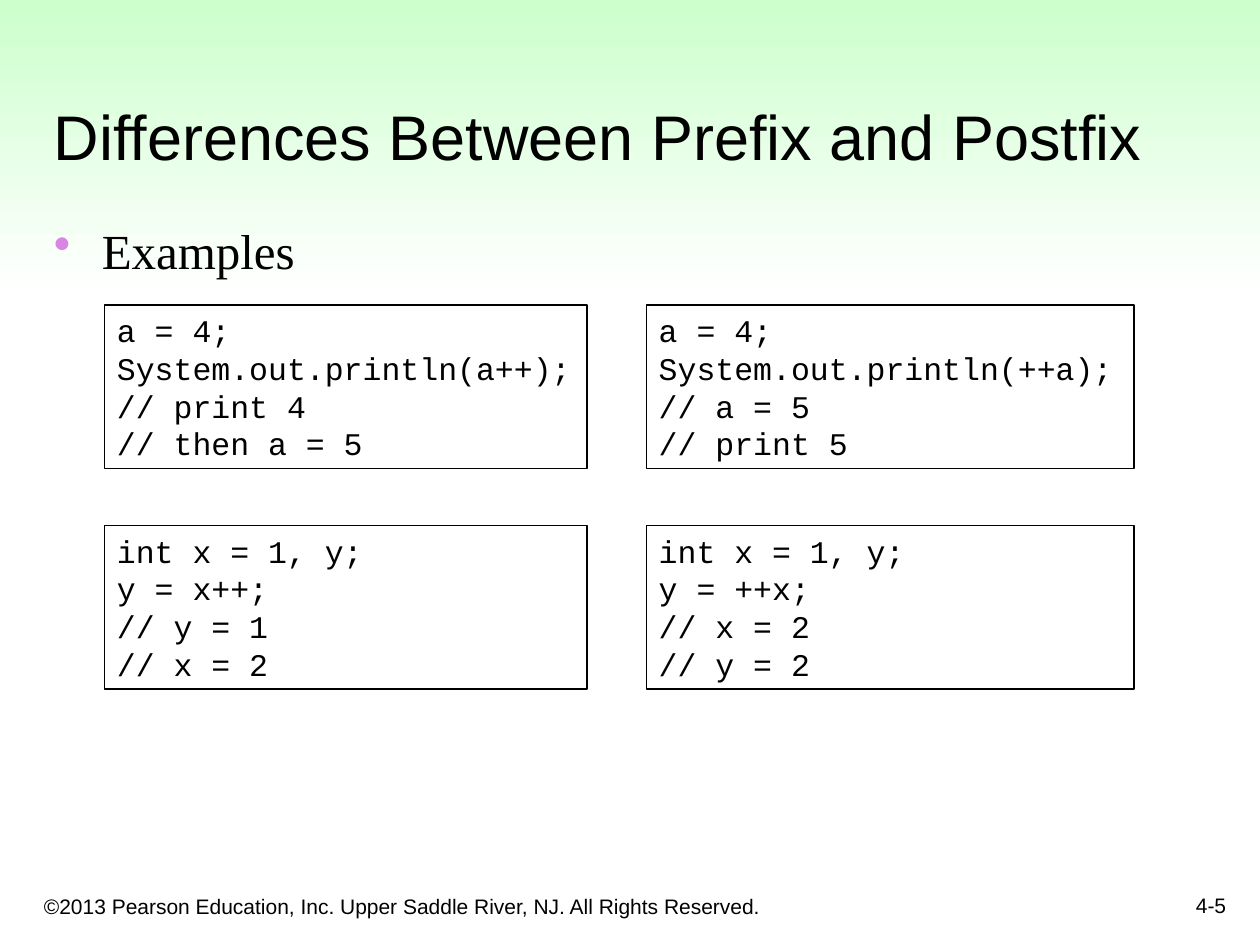
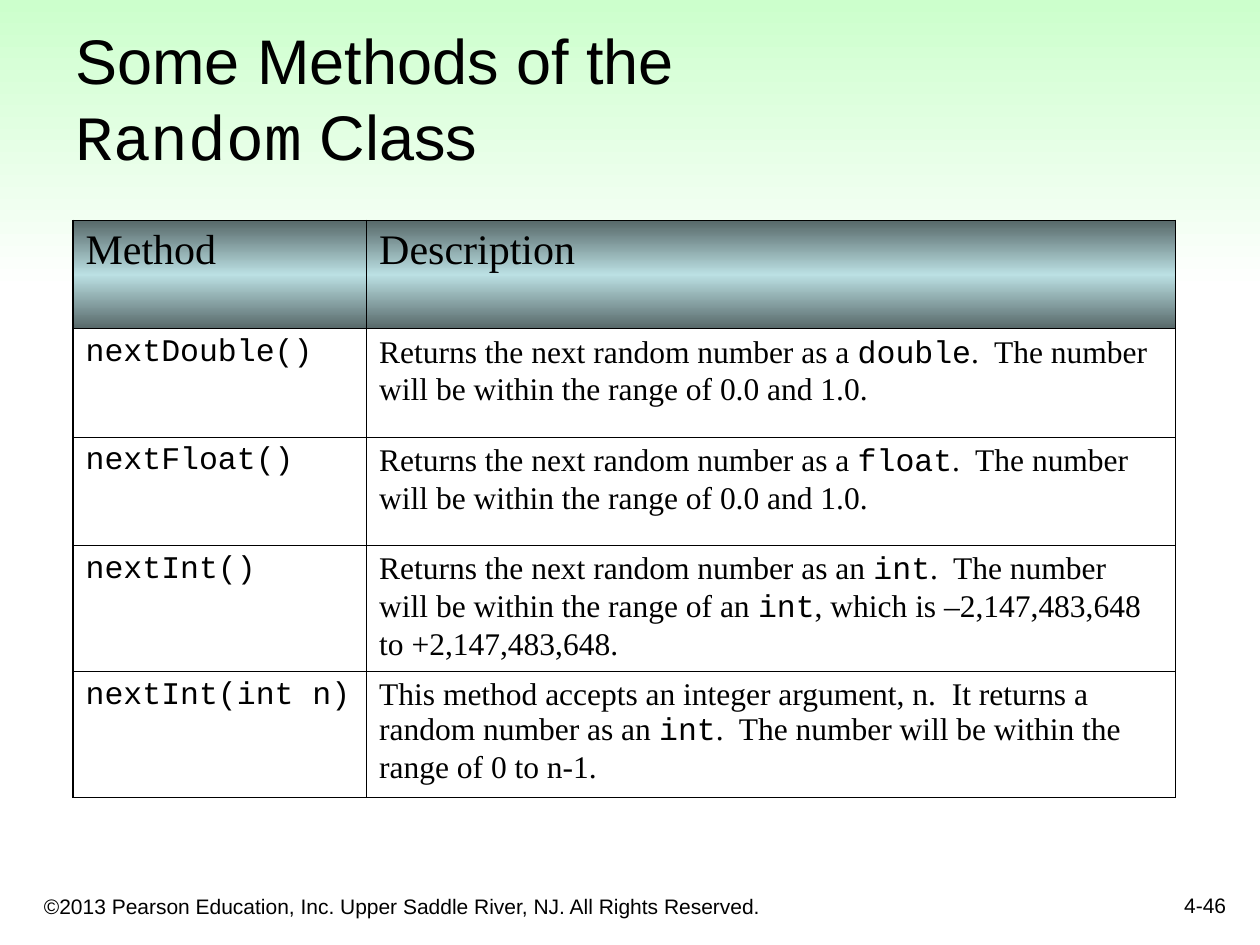
from lxml import etree
from pptx import Presentation
from pptx.dml.color import RGBColor
from pptx.enum.shapes import MSO_SHAPE as Shape
from pptx.enum.text import MSO_ANCHOR as Anchor, PP_ALIGN as Align
from pptx.oxml.ns import qn
from pptx.util import Inches, Pt

SANS, SERIF, MONO = "Arial", "Times New Roman", "Courier New"
BLACK = RGBColor(0x00, 0x00, 0x00)
WHITE = RGBColor(0xFF, 0xFF, 0xFF)
GREEN = RGBColor(0xCC, 0xFF, 0xCC)
SLATE = RGBColor(0x57, 0x68, 0x69)
ICE = RGBColor(0xBB, 0xE0, 0xE3)
VIOLET = RGBColor(0xD8, 0x85, 0xE3)

RIGHTS = "©2013 Pearson Education, Inc. Upper Saddle River, NJ. All Rights Reserved."

# Words between backticks are set in the code font.
PREFIX = {
    "title": "Differences Between Prefix and Postfix",
    "box": (0.33, 0.33, 9.42, 1.09),
    "page": "4-5",
}
LEAD = "Examples"
CODE = [
    [("a = 4;", "System.out.println(a++);", "// print 4", "// then a = 5"),
     ("a = 4;", "System.out.println(++a);", "// a = 5", "// print 5")],
    [("int x = 1, y;", "y = x++;", "// y = 1", "// x = 2"),
     ("int x = 1, y;", "y = ++x;", "// x = 2", "// y = 2")],
]
CODE_COLS = [(0.83, 3.83), (5.13, 3.87)]
CODE_TOP, CODE_STEP, CODE_HIGH = 2.42, 1.75, 1.3

RANDOM = {
    "title": "Some Methods of the \n`Random` Class",
    "box": (0.5, 0.17, 9.17, 1.25),
    "page": "4-46",
}
HEAD = ("Method", "Description")
METHODS = [
    ("`nextDouble()`",
     "Returns the next random number as a `double`.  "
     "The number will be within the range of 0.0 and 1.0."),
    ("`nextFloat()`",
     "Returns the next random number as a `float`.  "
     "The number will be within the range of 0.0 and 1.0."),
    ("`nextInt()`",
     "Returns the next random number as an `int`.  "
     "The number will be within the range of an `int`, "
     "which is –2,147,483,648 to +2,147,483,648."),
    ("`nextInt(int n)`",
     "This method accepts an integer argument, n.  "
     "It returns a random number as an `int`.  "
     "The number will be within the range of 0 to n-1."),
]
COLS = (2.33, 6.42)
ROWS = (0.86, 0.86, 0.86, 1, 1)
THICK, THIN = 1.08, 0.45


def write(para, text, size, font):
    """Add runs, switching to the code font between backticks."""
    for i, part in enumerate(text.split("`")):
        for j, line in enumerate(part.split("\n")):
            if j:
                para.add_line_break()
            if line:
                run = para.add_run()
                run.text = line
                run.font.size = Pt(size)
                run.font.name = MONO if i % 2 else font
                run.font.color.rgb = BLACK


def label(slide, box, text, size, font, anchor=Anchor.TOP, align=Align.LEFT):
    frame = slide.shapes.add_textbox(*map(Inches, box)).text_frame
    frame.word_wrap = True
    frame.vertical_anchor = anchor
    para = frame.paragraphs[0]
    para.alignment = align
    write(para, text, size, font)
    return para


def shade(fill, *tints):
    """Blend evenly spaced tints from top to bottom."""
    fill.gradient()
    fill.gradient_angle = 270
    stops = fill.gradient_stops[0]._gs.getparent()
    stops.clear()
    for i, tint in enumerate(tints):
        pos = str(round(100000 * i / (len(tints) - 1)))
        stop = etree.SubElement(stops, qn("a:gs"), pos=pos)
        etree.SubElement(stop, qn("a:srgbClr"), val=str(tint))


def start(deck, info):
    """Add a slide with the shared band, title and footer."""
    slide = deck.slides.add_slide(deck.slide_layouts[6])
    band = slide.shapes.add_shape(
        Shape.RECTANGLE, 0, 0, deck.slide_width, Inches(2.32))
    band.shadow.inherit = False
    band.line.fill.background()
    shade(band.fill, GREEN, WHITE)
    label(slide, (0.25, 6.92, 6.08, 0.42), RIGHTS, 12, SANS, Anchor.BOTTOM)
    label(slide, (7.75, 6.83, 2.08, 0.5), info["page"], 12, SANS,
          Anchor.BOTTOM, Align.RIGHT)
    label(slide, info["box"], info["title"], 36, SANS, Anchor.BOTTOM)
    return slide


def bullet(para):
    props = para._p.get_or_add_pPr()
    props.set("marL", str(Inches(0.38)))
    props.set("indent", str(-Inches(0.38)))
    tint = etree.SubElement(props, qn("a:buClr"))
    etree.SubElement(tint, qn("a:srgbClr"), val=str(VIOLET))
    etree.SubElement(props, qn("a:buChar"), char="•")
    para.line_spacing = 0.9


def listing(slide, box, lines):
    """Draw a framed block of code."""
    shape = slide.shapes.add_shape(Shape.RECTANGLE, *map(Inches, box))
    shape.shadow.inherit = False
    shape.fill.background()
    shape.line.color.rgb = BLACK
    shape.line.width = Pt(0.75)
    frame = shape.text_frame
    frame.word_wrap = True
    frame.vertical_anchor = Anchor.TOP
    for i, line in enumerate(lines):
        para = frame.add_paragraph() if i else frame.paragraphs[0]
        para.alignment = Align.LEFT
        write(para, line, 18, MONO)


def edge(cell, widths):
    """Set the left, right, top and bottom borders."""
    props = cell._tc.get_or_add_tcPr()
    for i, (side, width) in enumerate(zip("LRTB", widths)):
        line = etree.Element(qn("a:ln" + side), w=str(Pt(width)))
        fill = etree.SubElement(line, qn("a:solidFill"))
        etree.SubElement(fill, qn("a:srgbClr"), val=str(BLACK))
        props.insert(i, line)


def grid(slide):
    rows = [HEAD] + METHODS
    table = slide.shapes.add_table(
        len(rows), len(COLS), Inches(0.58), Inches(1.75),
        Inches(sum(COLS)), Inches(sum(ROWS))).table
    table.first_row = table.horz_banding = False
    for col, wide in zip(table.columns, COLS):
        col.width = Inches(wide)
    for r, texts in enumerate(rows):
        table.rows[r].height = Inches(ROWS[r])
        for c, text in enumerate(texts):
            cell = table.cell(r, c)
            write(cell.text_frame.paragraphs[0], text, 18 if r else 24, SERIF)
            if r:
                cell.fill.background()
            else:
                shade(cell.fill, SLATE, ICE, SLATE)
            outer = (c == 0, c == len(COLS) - 1, r == 0, r == len(rows) - 1)
            edge(cell, [THICK if out else THIN for out in outer])


def main():
    deck = Presentation()
    deck.slide_width, deck.slide_height = Inches(10), Inches(7.5)

    slide = start(deck, PREFIX)
    bullet(label(slide, (0.33, 1.75, 9.07, 5), LEAD, 28, SERIF))
    for r, row in enumerate(CODE):
        for (left, wide), lines in zip(CODE_COLS, row):
            top = CODE_TOP + r * CODE_STEP
            listing(slide, (left, top, wide, CODE_HIGH), lines)

    grid(start(deck, RANDOM))
    deck.save("out.pptx")


if __name__ == "__main__":
    main()
